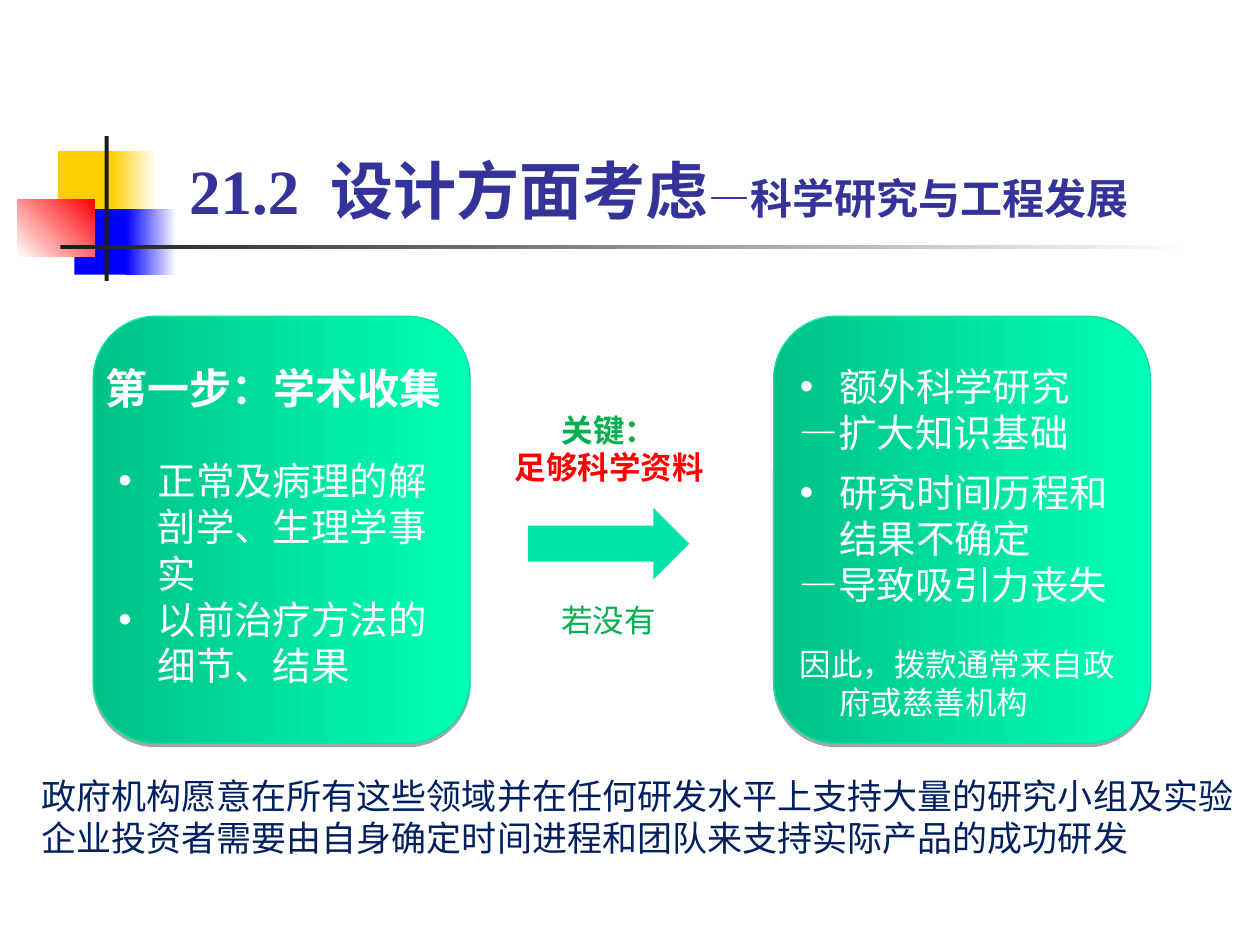
from dataclasses import dataclass

from lxml.etree import SubElement
from pptx import Presentation
from pptx.dml.color import RGBColor
from pptx.enum.shapes import MSO_SHAPE as Preset
from pptx.enum.text import MSO_ANCHOR as Anchor, MSO_AUTO_SIZE as AutoSize, PP_ALIGN as Align
from pptx.oxml.ns import qn
from pptx.util import Pt


@dataclass(frozen=True)
class Theme:
    latin: str = "Times New Roman"
    chinese: str = "Noto Sans CJK SC"
    white: str = "FFFFFF"
    yellow: str = "FFCF01"
    blue: str = "0000FF"
    red: str = "FF0000"
    dark: str = "1C1C1C"
    title: str = "333399"
    panel_start: str = "00C287"
    panel_end: str = "00FFB6"
    panel_line: str = "00E4A7"
    arrow: str = "00E4A8"
    key: str = "00B050"
    note: str = "002060"
    title_size: int = 36
    heading_size: int = 24
    body_size: int = 22
    note_size: int = 20
    small_size: int = 18
    line_factor: float = 1.2


THEME = Theme()
PANEL_TOP, PANEL_WIDTH, PANEL_HEIGHT = 180.72, 215.28, 244.08


def rgb(color):
    return RGBColor.from_string(color)


def place(shape, box):
    shape.left, shape.top, shape.width, shape.height = map(Pt, box)


def add_block(shapes, preset, box, colors, angle=0):
    shape = shapes.add_shape(preset, *map(Pt, box))
    shape.shadow.inherit = False
    shape.line.fill.background()
    if len(colors) == 1:
        shape.fill.solid()
        shape.fill.fore_color.rgb = rgb(colors[0])
    else:
        shape.fill.gradient()
        shape.fill.gradient_angle = angle
        for stop, color in zip(shape.fill.gradient_stops, colors):
            stop.color.rgb = rgb(color)
    return shape


def add_panel(slide, left):
    group = slide.shapes.add_group_shape()
    panel = add_block(group.shapes, Preset.ROUNDED_RECTANGLE,
                      (left, PANEL_TOP, PANEL_WIDTH, PANEL_HEIGHT),
                      (THEME.panel_start, THEME.panel_end))
    panel.line.color.rgb = rgb(THEME.panel_line)
    panel.line.width = Pt(0.75)
    effects = panel._element.spPr.find(qn("a:effectLst"))
    shadow = SubElement(effects, qn("a:outerShdw"), blurRad="0", dist=str(Pt(1.8)),
                        dir="5400000", algn="ctr", rotWithShape="0")
    color = SubElement(shadow, qn("a:srgbClr"), val="000000")
    SubElement(color, qn("a:alpha"), val="35000")
    return group.shapes


def format_run(run, size, color, bold=False, latin=THEME.chinese):
    run.font.size = Pt(size)
    run.font.bold = bold
    run.font.color.rgb = rgb(color)
    run.font.name = latin
    SubElement(run._r.get_or_add_rPr(), qn("a:ea"), typeface=THEME.chinese)


def format_paragraph(paragraph, size, color, bold=False, align=Align.LEFT):
    paragraph.alignment = align
    paragraph.line_spacing = Pt(size * THEME.line_factor)
    for run in paragraph.runs:
        format_run(run, size, color, bold)


def add_text(shapes, box, lines, size, color, bold=False, align=Align.LEFT):
    text_box = shapes.add_textbox(*map(Pt, box))
    text_frame = text_box.text_frame
    text_frame.word_wrap = True
    text_frame.text = "\n".join(lines)
    for paragraph in text_frame.paragraphs:
        format_paragraph(paragraph, size, color, bold, align)
    return text_frame.paragraphs


def indent(paragraph, bullet=False):
    properties = paragraph._p.get_or_add_pPr()
    properties.set("marL", str(Pt(22.5)))
    properties.set("indent", str(Pt(-22.5)))
    if bullet:
        color = SubElement(properties, qn("a:buClr"))
        SubElement(color, qn("a:srgbClr"), val=THEME.white)
        SubElement(properties, qn("a:buFont"), typeface="Arial")
        SubElement(properties, qn("a:buChar"), char="•")


def add_ornament(slide):
    blocks = (
        ((33.12, 86.4, 34.56, 37.44), (THEME.yellow,), 0),
        ((63.36, 86.4, 25.92, 37.44), (THEME.yellow, THEME.white), 0),
        ((42.48, 119.52, 33.12, 37.44), (THEME.blue,), 0),
        ((72, 119.52, 28.8, 37.44), (THEME.blue, THEME.white), 0),
        ((10.08, 113.76, 43.92, 33.12), (THEME.white, THEME.red), 45),
        ((59.76, 77.76, 2.4, 82.8), (THEME.dark,), 0),
        ((34.56, 140.04, 648, 2.5), (THEME.dark, THEME.white), 0),
    )
    for box, colors, angle in blocks:
        add_block(slide.shapes, Preset.RECTANGLE, box, colors, angle)


def set_title(slide):
    title = slide.shapes.title
    place(title, (100.8, 63.36, 653.04, 66.24))
    text_frame = title.text_frame
    text_frame.auto_size = AutoSize.NONE
    text_frame.vertical_anchor = Anchor.BOTTOM
    text_frame.margin_bottom = 0
    paragraph = text_frame.paragraphs[0]
    paragraph.alignment = Align.LEFT
    parts = (("21.2", THEME.title_size), (" ", THEME.title_size),
             ("设计方面考虑", THEME.title_size), ("—科学研究与工程发展", THEME.heading_size))
    for text, size in parts:
        run = paragraph.add_run()
        run.text = text
        format_run(run, size, THEME.title, True, THEME.latin)
    paragraph.runs[1]._r.get_or_add_rPr().set("spc", "900")


def add_collection_panel(slide):
    shapes = add_panel(slide, 53.28)
    add_text(shapes, (53.28, 203.76, 211.68, 36), ["第一步：学术收集"],
             THEME.heading_size, THEME.white, True)
    facts = add_text(shapes, (60.48, 257.76, 195.84, 139.68),
                     ["正常及病理的解剖学、生理学事实", "以前治疗方法的细节、结果"],
                     THEME.body_size, THEME.white)
    for paragraph in facts:
        indent(paragraph, bullet=True)


def add_research_panel(slide):
    shapes = add_panel(slide, 442.08)
    lines = ["额外科学研究", "—扩大知识基础", "研究时间历程和结果不确定",
             "—导致吸引力丧失", "因此，拨款通常来自政府或慈善机构"]
    paragraphs = add_text(shapes, (450, 203.76, 199.44, 234), lines,
                          THEME.body_size, THEME.white)
    for index, paragraph in enumerate(paragraphs):
        indent(paragraph, bullet=index in (0, 2))
    paragraphs[1].space_after = Pt(8)
    conclusion = paragraphs[-1]
    conclusion.space_before = Pt(THEME.small_size * THEME.line_factor)
    conclusion.line_spacing = Pt(THEME.small_size * THEME.line_factor)
    conclusion.runs[0].font.size = Pt(THEME.small_size)


def add_transition(slide):
    add_block(slide.shapes, Preset.RIGHT_ARROW, (301.68, 290.16, 92.16, 41.04), (THEME.arrow,))
    key = add_text(slide.shapes, (285.84, 231.12, 124.56, 50.4), ["关键：", "足够科学资料"],
                   THEME.small_size, THEME.key, True, Align.CENTER)
    key[1].runs[0].font.color.rgb = rgb(THEME.red)
    add_text(slide.shapes, (293.76, 339.84, 108, 28.8), ["若没有"],
             THEME.small_size, THEME.key, align=Align.CENTER)


def main():
    presentation = Presentation()
    presentation.slide_width, presentation.slide_height = Pt(720), Pt(540)
    slide = presentation.slides.add_slide(presentation.slide_layouts[5])
    add_ornament(slide)
    set_title(slide)
    add_transition(slide)
    add_collection_panel(slide)
    add_research_panel(slide)
    add_text(slide.shapes, (16.56, 439.2, 703.44, 79.2),
             ["政府机构愿意在所有这些领域并在任何研发水平上支持大量的研究小组及实验",
              "企业投资者需要由自身确定时间进程和团队来支持实际产品的成功研发"],
             THEME.note_size, THEME.note)
    presentation.save("out.pptx")


if __name__ == "__main__":
    main()
